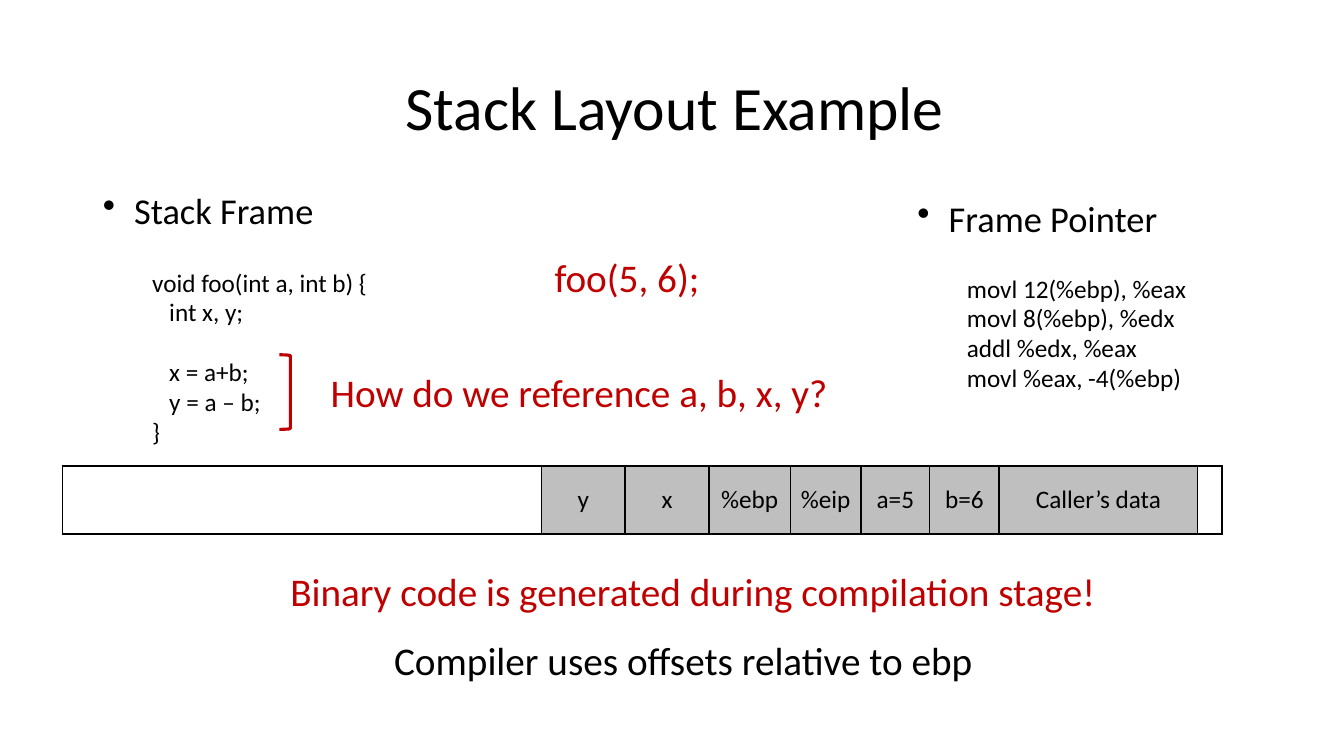
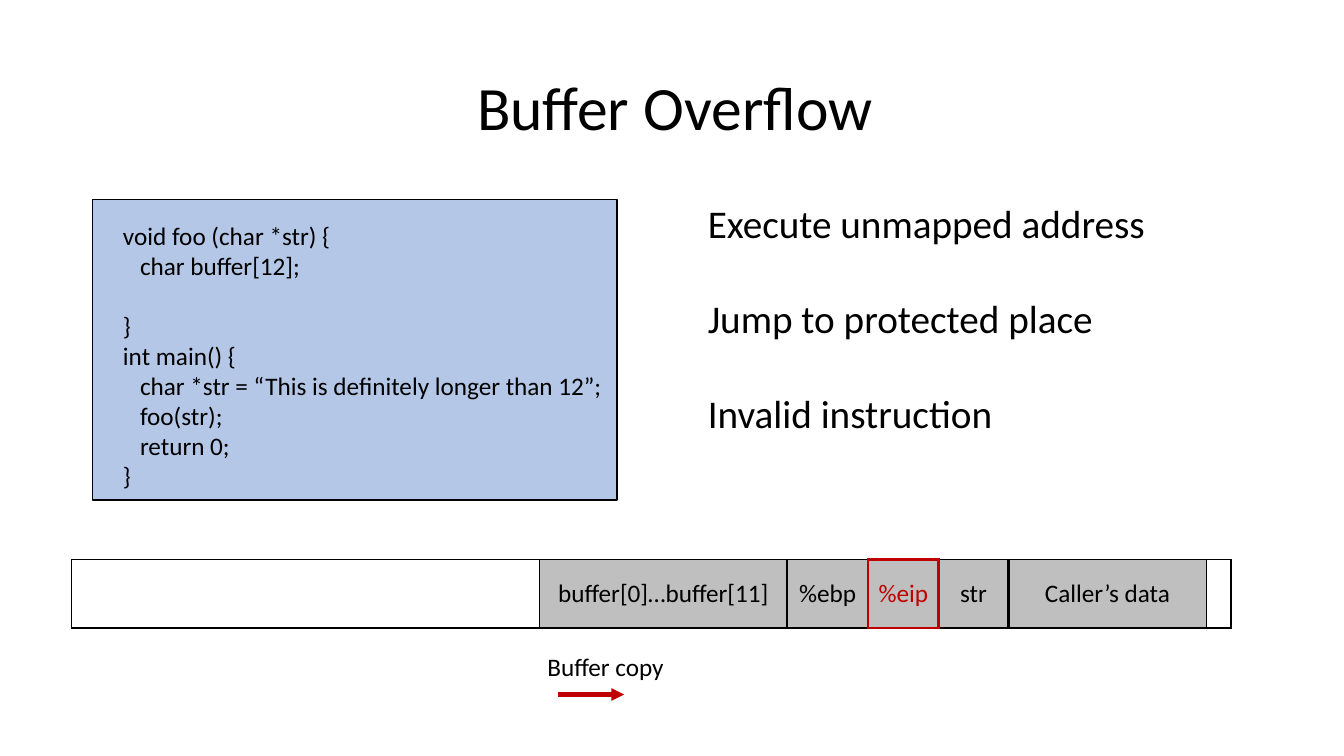
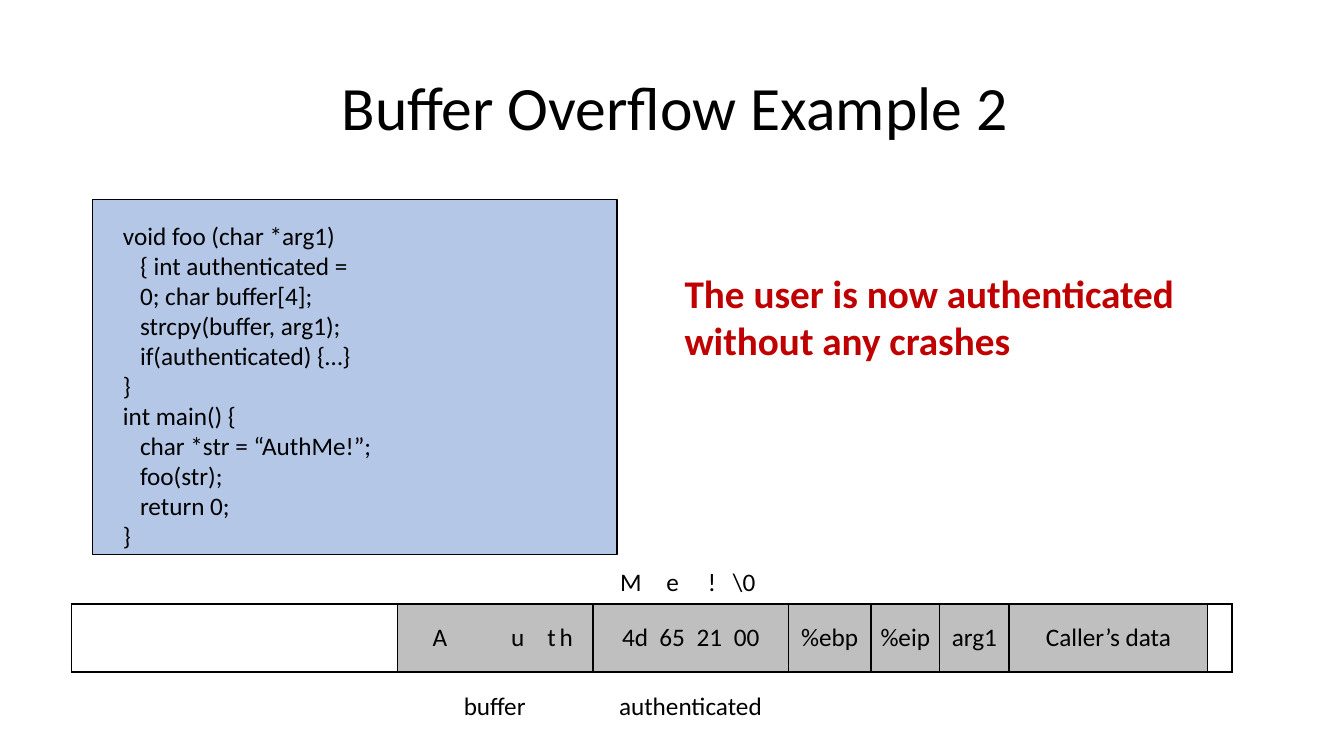
"""Build three slides on stack layout and buffer overflows."""
from lxml import etree
from pptx import Presentation
from pptx.dml.color import RGBColor
from pptx.enum.shapes import MSO_CONNECTOR, MSO_SHAPE
from pptx.enum.text import MSO_ANCHOR, PP_ALIGN
from pptx.oxml.ns import qn
from pptx.util import Inches, Pt

LEFT, CENTER = PP_ALIGN.LEFT, PP_ALIGN.CENTER
TOP, MIDDLE = MSO_ANCHOR.TOP, MSO_ANCHOR.MIDDLE
RECTANGLE, BRACKET = MSO_SHAPE.RECTANGLE, MSO_SHAPE.RIGHT_BRACKET
STRAIGHT = MSO_CONNECTOR.STRAIGHT

BLACK = RGBColor(0x00, 0x00, 0x00)
RED = RGBColor(0xC0, 0x00, 0x00)
GRAY = RGBColor(0xBF, 0xBF, 0xBF)
BLUE = RGBColor(0xB4, 0xC7, 0xE7)

FONT = "Calibri"
TITLE_SIZE, HEADING_SIZE, STATEMENT_SIZE, CODE_SIZE = 44, 26, 28, 18
CODE_PITCH = 21.4
ROW_HEIGHT = 0.68
THIN, NORMAL, THICK = 1, 1.5, 2.25

FRAME_CODE = [
    ["void foo(int a, int b) {", "   int x, y;"],
    ["   x = a+b;", "   y = a – b;", "}"],
]
POINTER_CODE = [
    ["movl 12(%ebp), %eax", "movl 8(%ebp), %edx",
     "addl %edx, %eax", "movl %eax, -4(%ebp)"],
]
OVERFLOW_CODE = [
    ["void foo (char *str) {", "   char buffer[12];"],
    ["}", "int main() {", "   char *str = “This is definitely longer than 12”;",
     "   foo(str);", "   return 0;", "}"],
]
AUTH_CODE = [
    ["void foo (char *arg1)", "   { int authenticated =", "   0; char buffer[4];",
     "   strcpy(buffer, arg1);", "   if(authenticated) {…}", "}", "int main() {",
     "   char *str = “AuthMe!”;", "   foo(str);", "   return 0;", "}"],
]

# Each stack cell: text, width, width of its left border, text format
CALLER = [("Caller’s data", 1.97, THICK, {}), ("", 0.24, THIN, {})]
FRAME_STACK = [
    ("", 4.75, NORMAL, {}), ("y", 0.83, THIN, {}), ("x", 0.83, NORMAL, {}),
    ("%ebp", 0.81, NORMAL, {}), ("%eip", 0.7, NORMAL, {}),
    ("a=5", 0.68, THIN, {}), ("b=6", 0.69, THIN, {}), *CALLER,
]
OVERFLOW_STACK = [
    ("", 4.64, NORMAL, {}), ("buffer[0]…buffer[11]", 2.46, THIN, {}),
    ("%ebp", 0.8, NORMAL, {}), ("%eip", 0.7, THICK, {"color": RED}),
    ("str", 0.69, THICK, {}), *CALLER,
]
AUTH_STACK = [
    ("", 3.23, NORMAL, {}),
    ("A\tu\tt\th", 1.94, THIN,
     {"align": LEFT, "inset": 0.35, "tabs": (0.78, 1.14, 1.26)}),
    ("4d\t65\t21\t00", 1.94, NORMAL,
     {"align": LEFT, "inset": 0.29, "tabs": (0.37, 0.74, 1.11)}),
    ("%ebp", 0.82, THIN, {}), ("%eip", 0.68, THIN, {}),
    ("arg1", 0.69, THIN, {}), *CALLER,
]

STATEMENTS = ["Execute unmapped address", "Jump to protected place",
              "Invalid instruction"]


def write(frame, stanzas, size=CODE_SIZE, color=BLACK, bold=False, align=LEFT,
          inset=0, top=0, pitch=None, bullet=False, tabs=()):
    """Fill a text frame with stanzas of lines, one line height apart."""
    frame.word_wrap = True
    frame.margin_left, frame.margin_top = Inches(inset), Inches(top)
    frame.margin_right = frame.margin_bottom = 0
    stanzas = [[stanzas]] if isinstance(stanzas, str) else stanzas
    lines = [(line, number > 0 and index == 0)
             for number, stanza in enumerate(stanzas)
             for index, line in enumerate(stanza)]
    for index, (line, starts_stanza) in enumerate(lines):
        paragraph = frame.add_paragraph() if index else frame.paragraphs[0]
        properties = paragraph._p.get_or_add_pPr()
        if bullet:
            properties.set("marL", str(Inches(0.33)))
            properties.set("indent", str(-Inches(0.31)))
            etree.SubElement(properties, qn("a:buChar"), char="•")
        if tabs:
            stops = etree.SubElement(properties, qn("a:tabLst"))
            for stop in tabs:
                etree.SubElement(stops, qn("a:tab"), pos=str(Inches(stop)), algn="l")
        paragraph.alignment = align
        if pitch:
            paragraph.line_spacing = Pt(pitch)
        if starts_stanza:
            paragraph.space_before = Pt(pitch)
        run = paragraph.add_run()
        run.text = line
        run.font.name, run.font.size, run.font.bold = FONT, Pt(size), bold
        run.font.color.rgb = color


def add_text(slide, left, top, text, width=5, height=0.5, **style):
    box = slide.shapes.add_textbox(*map(Inches, (left, top, width, height)))
    write(box.text_frame, text, **style)


def add_code_panel(slide, height, code):
    panel = slide.shapes.add_shape(RECTANGLE, *map(Inches, (0.92, 1.98, 5.2, height)))
    panel.shadow.inherit = False
    panel.fill.solid()
    panel.fill.fore_color.rgb = BLUE
    panel.line.color.rgb = BLACK
    panel.line.width = Pt(THIN)
    panel.text_frame.vertical_anchor = TOP
    write(panel.text_frame, code, inset=0.3, top=0.21, pitch=CODE_PITCH)


def add_border(cell, side, width, color):
    line = etree.SubElement(cell._tc.get_or_add_tcPr(), qn(f"a:ln{side}"),
                            w=str(Pt(width)))
    fill = etree.SubElement(line, qn("a:solidFill"))
    etree.SubElement(fill, qn("a:srgbClr"), val=str(color))


def add_stack(slide, left, top, cells):
    total = sum(width for _, width, _, _ in cells)
    table = slide.shapes.add_table(
        1, len(cells), *map(Inches, (left, top, total, ROW_HEIGHT))).table
    table.first_row = table.horz_banding = False
    accents = [style.get("color", BLACK) for *_, style in cells]
    edges = [(edge, RED if RED in accents[max(i - 1, 0):i + 1] else BLACK)
             for i, (_, _, edge, _) in enumerate(cells)] + [(NORMAL, BLACK)]
    for index, (text, width, _, style) in enumerate(cells):
        table.columns[index].width = Inches(width)
        cell = table.cell(0, index)
        rim = (THICK, RED) if accents[index] == RED else (NORMAL, BLACK)
        for side, border in zip("LRTB", (edges[index], edges[index + 1], rim, rim)):
            add_border(cell, side, *border)
        cell.vertical_anchor = MIDDLE
        cell.margin_left = cell.margin_right = cell.margin_top = cell.margin_bottom = 0
        if text:
            cell.fill.solid()
            cell.fill.fore_color.rgb = GRAY
            options = {"align": CENTER, **style}
            cell.margin_left = Inches(options.pop("inset", 0))
            write_cell(cell, text, **options)
        else:
            cell.fill.background()


def write_cell(cell, text, **style):
    margin = cell.margin_left
    write(cell.text_frame, text, **style)
    cell.margin_left = margin
    cell.margin_right = cell.margin_top = cell.margin_bottom = 0
    cell._tc.txBody.find(qn("a:bodyPr")).attrib.clear()


def add_bracket(slide, left, top, width, height):
    bracket = slide.shapes.add_shape(BRACKET, *map(Inches, (left, top, width, height)))
    bracket.shadow.inherit = False
    bracket.fill.background()
    bracket.line.color.rgb = RED
    bracket.line.width = Pt(THICK)


def add_arrow(slide, start, end, level):
    arrow = slide.shapes.add_connector(
        STRAIGHT, *map(Inches, (start, level, end, level)))
    arrow.line.color.rgb = RED
    arrow.line.width = Pt(3)
    etree.SubElement(arrow.line._get_or_add_ln(), qn("a:tailEnd"), type="triangle")
    etree.SubElement(arrow._element.spPr, qn("a:effectLst"))


def add_slide(deck, title):
    slide = deck.slides.add_slide(deck.slide_layouts[6])
    add_text(slide, 2.43, 0.68, title, width=8.53, height=0.75,
             size=TITLE_SIZE, align=CENTER)
    return slide


def build_layout(deck):
    slide = add_slide(deck, "Stack Layout Example")
    for left, top, heading in ((1, 1.87, "Stack Frame"), (9.08, 1.95, "Frame Pointer")):
        add_text(slide, left, top, heading, width=3, size=HEADING_SIZE, bullet=True)
    add_text(slide, 1.51, 2.65, FRAME_CODE, width=3, height=1.8, pitch=CODE_PITCH)
    add_text(slide, 9.59, 2.71, POINTER_CODE, width=3, height=1.2, pitch=CODE_PITCH)
    add_bracket(slide, 2.77, 3.52, 0.11, 0.74)
    add_stack(slide, 0.62, 4.62, FRAME_STACK)
    for left, top, text, color in (
            (5.5, 2.51, "foo(5, 6);", RED),
            (3.28, 3.65, "How do we reference a, b, x, y?", RED),
            (2.88, 5.63, "Binary code is generated during compilation stage!", RED),
            (3.91, 6.31, "Compiler uses offsets relative to ebp", BLACK)):
        add_text(slide, left, top, text, width=9, size=STATEMENT_SIZE, color=color)


def build_overflow(deck):
    slide = add_slide(deck, "Buffer Overflow")
    add_code_panel(slide, 2.98, OVERFLOW_CODE)
    for index, statement in enumerate(STATEMENTS):
        add_text(slide, 7.02, 1.98 + 0.94 * index, statement, size=STATEMENT_SIZE)
    add_stack(slide, 0.71, 5.55, OVERFLOW_STACK)
    add_text(slide, 5.43, 6.46, "Buffer copy", width=2, height=0.33)
    add_arrow(slide, 5.53, 6.19, 6.89)


def build_authentication(deck):
    slide = add_slide(deck, "Buffer Overflow Example 2")
    add_code_panel(slide, 3.52, AUTH_CODE)
    add_text(slide, 6.79, 2.67, "The user is now authenticated without any crashes",
             height=1, size=STATEMENT_SIZE, color=RED, bold=True)
    add_text(slide, 6.15, 5.62, "M\te\t!\t\\0", width=2, height=0.33,
             tabs=(0.46, 0.87, 1.12))
    add_stack(slide, 0.71, 5.99, AUTH_STACK)
    for left, label in ((4.6, "buffer"), (6.14, "authenticated")):
        add_text(slide, left, 6.85, label, width=1.5, height=0.33)


def main():
    deck = Presentation()
    deck.slide_width, deck.slide_height = Inches(13.33), Inches(7.5)
    build_layout(deck)
    build_overflow(deck)
    build_authentication(deck)
    deck.save("out.pptx")


if __name__ == "__main__":
    main()
